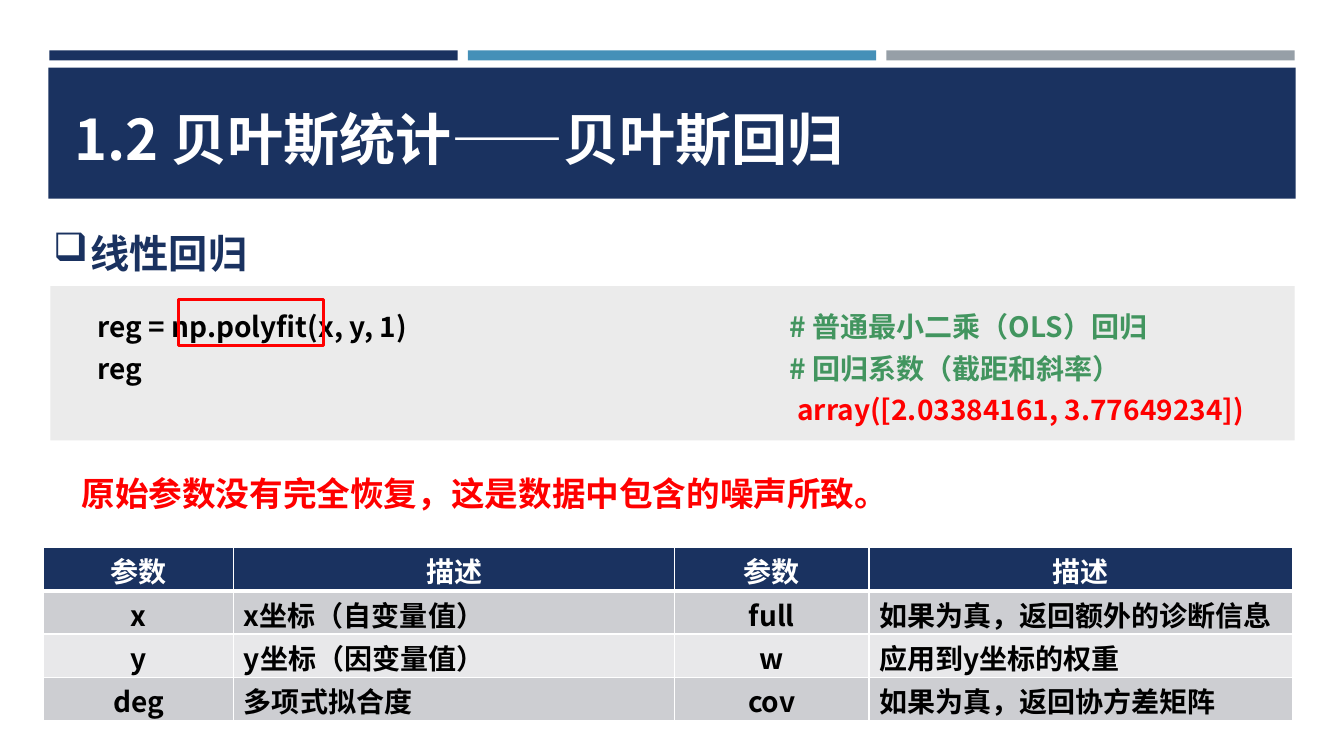
from lxml import etree
from pptx import Presentation
from pptx.dml.color import RGBColor
from pptx.enum import shapes, text
from pptx.oxml import ns
from pptx.util import Inches, Pt

FONT = "Noto Sans CJK SC"
COLORS = {
    "navy": "1A3260", "blue": "4590B8", "gray": "969FA7", "panel": "EBEBEB",
    "green": "42955F", "red": "FF0000", "black": "000000", "white": "FFFFFF",
    "odd": "CDCED2", "even": "E8E8EA",
}

TITLE = "1.2 贝叶斯统计——贝叶斯回归"
HEADING = "线性回归"
CODE = ["reg = np.polyfit(x, y, 1)", "reg"]
REMARKS = ["# 普通最小二乘（OLS）回归", "# 回归系数（截距和斜率）"]
RESULT = "array([2.03384161, 3.77649234])"
FINDING = "原始参数没有完全恢复，这是数据中包含的噪声所致。"
PARAMETERS = [
    ("参数", "描述", "参数", "描述"),
    ("x", "x坐标（自变量值）", "full", "如果为真，返回额外的诊断信息"),
    ("y", "y坐标（因变量值）", "w", "应用到y坐标的权重"),
    ("deg", "多项式拟合度", "cov", "如果为真，返回协方差矩阵"),
]
COLUMN_WIDTHS = [1.89, 4.37, 1.93, 4.2]
ROW_HEIGHT = 0.43


def rgb(name):
    return RGBColor.from_string(COLORS[name])


def place(shape, left, top, width, height):
    shape.left, shape.top = Inches(left), Inches(top)
    shape.width, shape.height = Inches(width), Inches(height)


def write(frame, lines, size, color, spacing=None, align=None):
    frame.text = "\n".join(lines)
    for para in frame.paragraphs:
        para.alignment = align
        para.line_spacing = spacing
        for span in para.runs:
            font = span.font
            font.name, font.size, font.bold = FONT, Pt(size), True
            font.color.rgb = rgb(color)
            east_asian = etree.SubElement(font._element, ns.qn("a:ea"))
            east_asian.set("typeface", FONT)


def add_rect(page, area, fill=None, line=None):
    rect = page.shapes.add_shape(shapes.MSO_SHAPE.RECTANGLE, *map(Inches, area))
    rect.shadow.inherit = False
    if fill:
        rect.fill.solid()
        rect.fill.fore_color.rgb = rgb(fill)
    else:
        rect.fill.background()
    if line:
        rect.line.color.rgb = rgb(line)
        rect.line.width = Pt(2)
    else:
        rect.line.fill.background()
    return rect


def add_text(page, area, lines, size, color, spacing=None, wrap=True):
    box = page.shapes.add_textbox(*map(Inches, area))
    box.text_frame.word_wrap = wrap
    write(box.text_frame, lines, size, color, spacing)
    return box


def add_bullet(para, symbol, indent):
    props = para._p.get_or_add_pPr()
    props.set("marL", str(Inches(indent)))
    props.set("indent", str(-Inches(indent)))
    etree.SubElement(props, ns.qn("a:buChar")).set("char", symbol)


def add_borders(cell, bottom):
    """Draw white cell edges, placed before the fill as the schema asks."""
    props = cell._tc.get_or_add_tcPr()
    for index, (side, width) in enumerate(
            [("lnL", 1), ("lnR", 1), ("lnT", 1), ("lnB", bottom)]):
        edge = etree.Element(ns.qn("a:" + side), w=str(Pt(width)))
        fill = etree.SubElement(edge, ns.qn("a:solidFill"))
        etree.SubElement(fill, ns.qn("a:srgbClr")).set("val", COLORS["white"])
        props.insert(index, edge)


def add_parameter_table(page, left, top):
    size = Inches(sum(COLUMN_WIDTHS)), Inches(ROW_HEIGHT * len(PARAMETERS))
    table = page.shapes.add_table(
        len(PARAMETERS), len(COLUMN_WIDTHS), Inches(left), Inches(top), *size).table
    for column, width in zip(table.columns, COLUMN_WIDTHS):
        column.width = Inches(width)
    for r, row in enumerate(PARAMETERS):
        table.rows[r].height = Inches(ROW_HEIGHT)
        fill = "navy" if r == 0 else "odd" if r % 2 else "even"
        for c, words in enumerate(row):
            cell = table.cell(r, c)
            cell.margin_top, cell.margin_bottom = Inches(0.03), 0
            centred = r == 0 or c % 2 == 0
            write(cell.text_frame, [words], 20, "black" if r else "white",
                  align=text.PP_ALIGN.CENTER if centred else text.PP_ALIGN.LEFT)
            cell.fill.solid()
            cell.fill.fore_color.rgb = rgb(fill)
            add_borders(cell, bottom=1 if r else 3)


def main():
    deck = Presentation()
    deck.slide_width, deck.slide_height = Inches(13.33), Inches(7.5)
    page = deck.slides.add_slide(deck.slide_layouts[5])

    for index, color in enumerate(["navy", "blue", "gray"]):
        add_rect(page, (0.49 + 4.15 * index, 0.5, 4.05, 0.1), color)
    banner = add_rect(page, (0.48, 0.67, 12.37, 1.3), "navy")

    title = page.shapes.title
    banner._element.addnext(title._element)
    place(title, 0.64, 0.99, 11.92, 0.77)
    title.text_frame.vertical_anchor = text.MSO_ANCHOR.TOP
    title.text_frame.auto_size = text.MSO_AUTO_SIZE.NONE
    write(title.text_frame, [TITLE], 40, "white", align=text.PP_ALIGN.LEFT)

    heading = add_text(page, (0.43, 1.99, 12.4, 0.72), [HEADING], 28, "navy", 1.5)
    para = heading.text_frame.paragraphs[0]
    para.space_after = Pt(12)
    add_bullet(para, "❑", 0.37)

    add_rect(page, (0.5, 2.84, 12.34, 1.53), "panel")
    add_text(page, (0.87, 2.94, 6.86, 0.9), CODE, 20, "black", Pt(30))
    add_text(page, (7.73, 2.94, 5.11, 0.9), REMARKS, 20, "green", Pt(30))
    add_text(page, (7.81, 3.84, 4.81, 0.44), [RESULT], 20, "red", wrap=False)
    add_text(page, (0.71, 4.44, 11.91, 0.64), [FINDING], 24, "red", 1.5)

    add_parameter_table(page, 0.43, 5.43)
    add_rect(page, (1.77, 2.97, 1.44, 0.46), line="red")
    deck.save("out.pptx")


if __name__ == "__main__":
    main()
